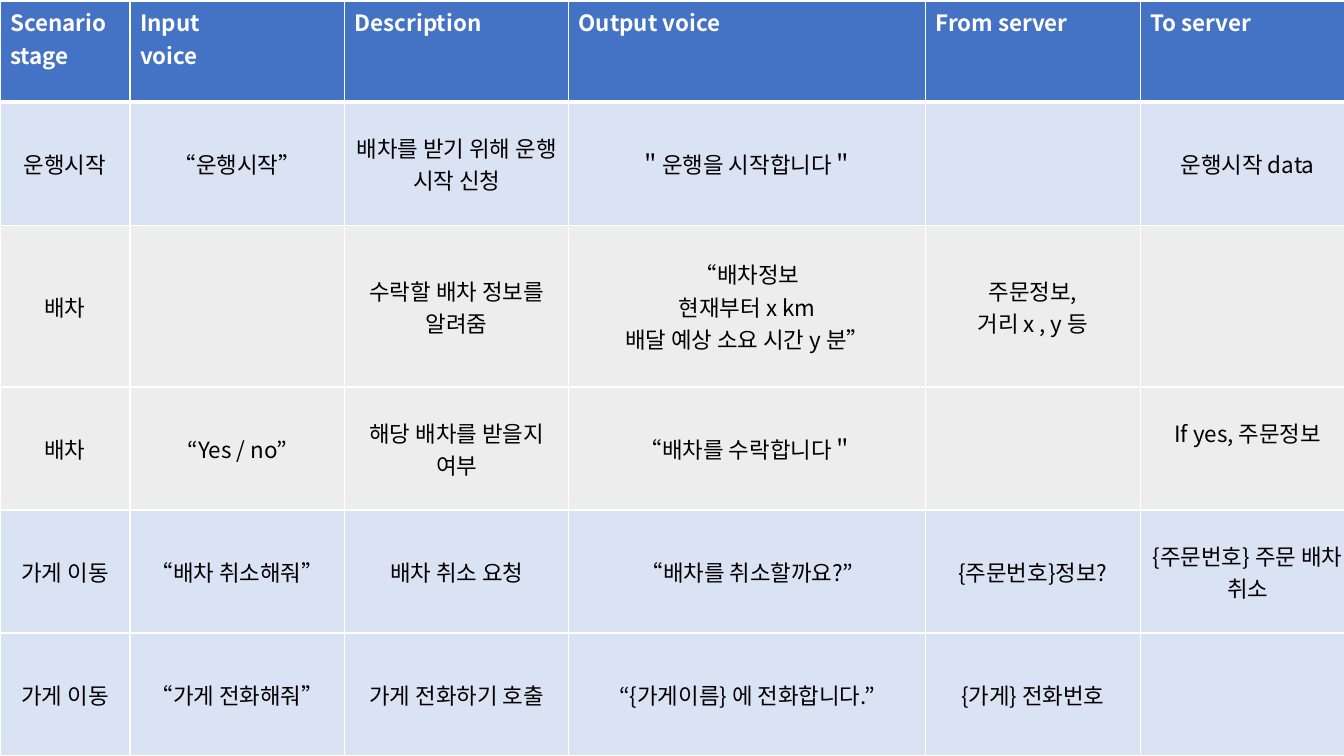
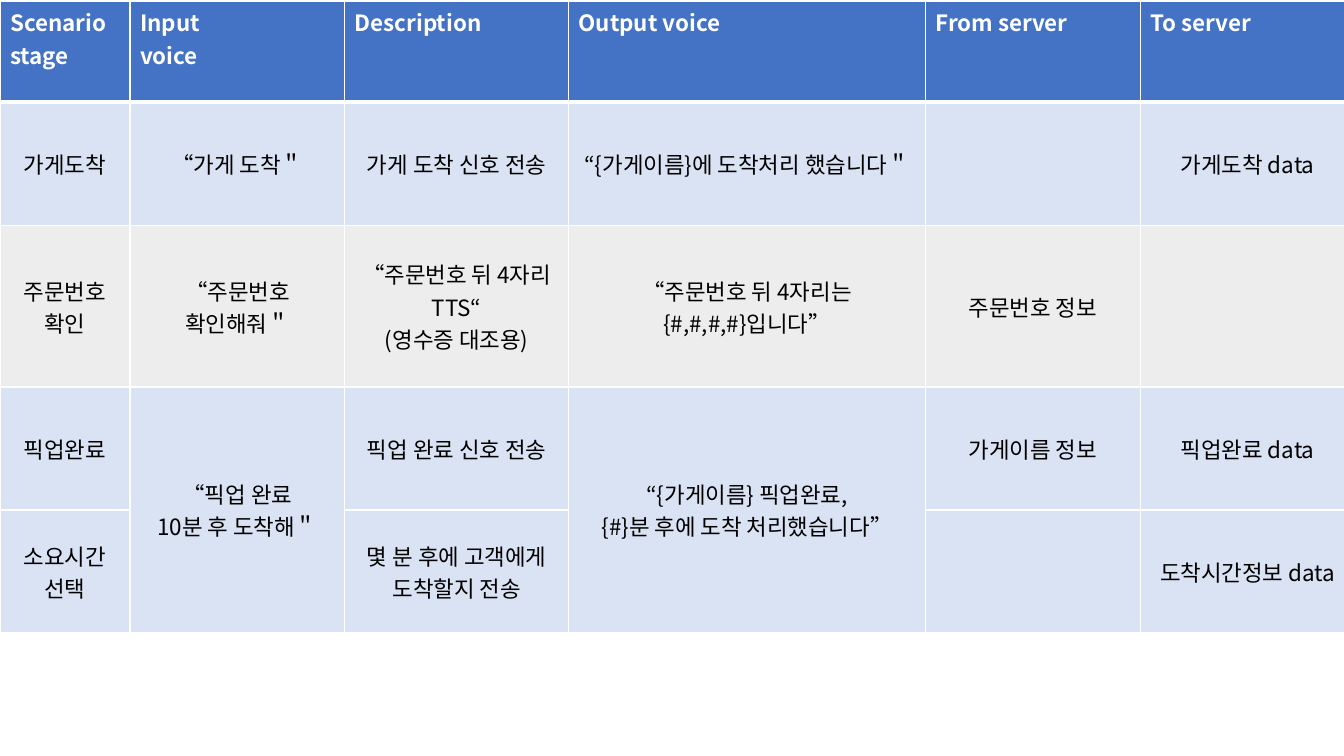
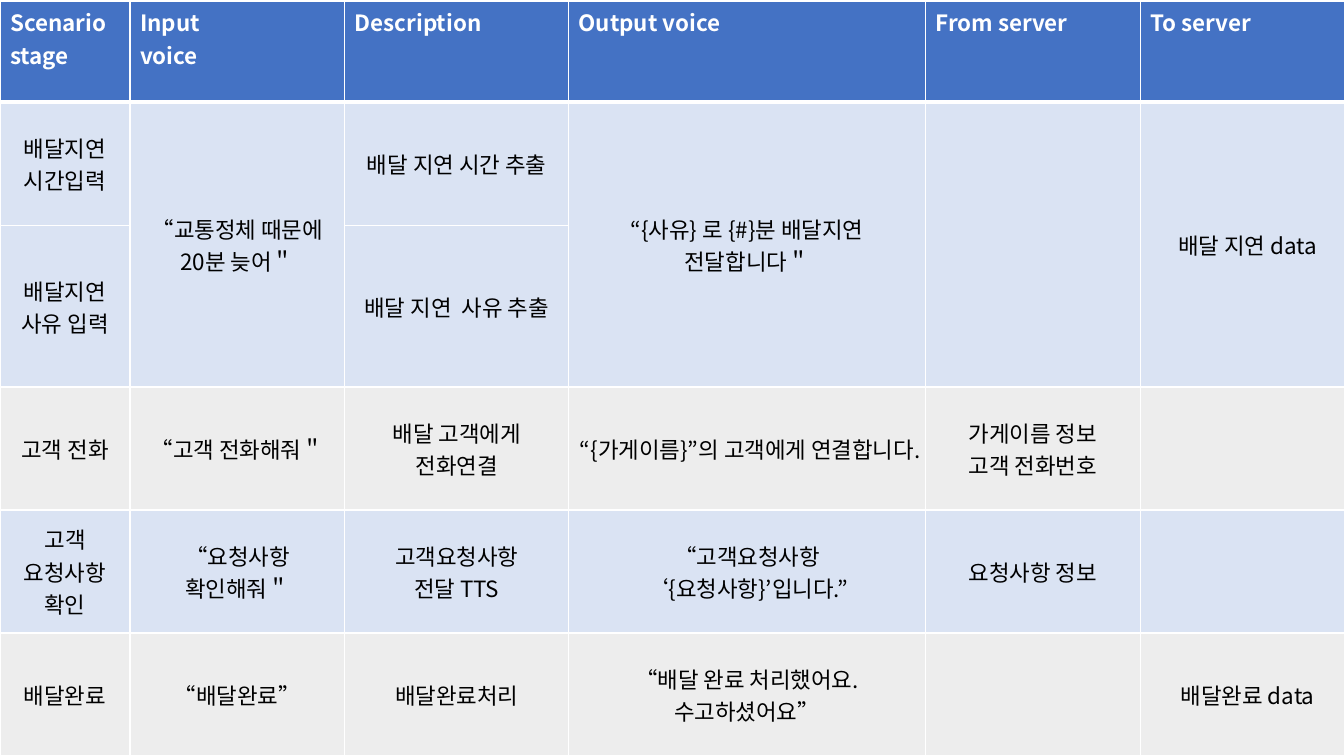
import dataclasses

import lxml.etree
import pptx
import pptx.dml.color
import pptx.enum.text
import pptx.oxml.ns
import pptx.util

PX = 9144  # EMU in one px, 100 px to the inch


@dataclasses.dataclass(frozen=True)
class Theme:
    font: str = "Noto Sans CJK KR"
    size: int = 16
    header: str = "4472C4"
    header_text: str = "FFFFFF"
    text: str = "000000"
    blue: str = "DAE3F3"
    grey: str = "EDEDED"
    white: str = "FFFFFF"
    rule: str = "FFFFFF"
    thin: int = 1
    thick: int = 3


THEME = Theme()
BLUE, GREY, WHITE = THEME.blue, THEME.grey, THEME.white

# Layout and header shared by every scenario table
COLUMN_WIDTHS = [129, 213, 222, 354, 213, 213]
ROW_HEIGHTS = [100, 123, 160, 122, 122, 122]
HEADER = ["Scenario stage", "Input\nvoice", "Description",
          "Output voice", "From server", "To server"]
ABOVE = "^"  # the cell joins the one above it

# Each stage: row colour, then one text per column
DISPATCH = [
    (BLUE, ["운행시작", "“운행시작”", "배차를 받기 위해 운행 시작 신청",
            "＂운행을 시작합니다＂", "", "운행시작 data"]),
    (GREY, ["배차", "", "수락할 배차 정보를 알려줌",
            "“배차정보\n현재부터 x km\n배달 예상 소요 시간 y 분”",
            "주문정보,\n거리 x , y 등", ""]),
    (GREY, ["배차", "“Yes / no”", "해당 배차를 받을지 여부",
            "“배차를 수락합니다＂", "", "If yes, 주문정보"]),
    (BLUE, ["가게 이동", "“배차 취소해줘”", "배차 취소 요청",
            "“배차를 취소할까요?”", "{주문번호}정보?", "{주문번호} 주문 배차 취소"]),
    (BLUE, ["가게 이동", "“가게 전화해줘”", "가게 전화하기 호출",
            "“{가게이름} 에 전화합니다.”", "{가게} 전화번호", ""]),
]
PICKUP = [
    (BLUE, ["가게도착", "“가게 도착＂", "가게 도착 신호 전송",
            "“{가게이름}에 도착처리 했습니다＂", "", "가게도착 data"]),
    (GREY, ["주문번호\n확인", "“주문번호\n확인해줘＂",
            "“주문번호 뒤 4자리 TTS“\n(영수증 대조용)",
            "“주문번호 뒤 4자리는\n{#,#,#,#}입니다”", "주문번호 정보", ""]),
    (BLUE, ["픽업완료", "“픽업 완료\n10분 후 도착해＂", "픽업 완료 신호 전송",
            "“{가게이름} 픽업완료,\n{#}분 후에 도착 처리했습니다”",
            "가게이름 정보", "픽업완료 data"]),
    (BLUE, ["소요시간\n선택", ABOVE, "몇 분 후에 고객에게 도착할지 전송",
            ABOVE, "", "도착시간정보 data"]),
    (WHITE, [""] * len(HEADER)),
]
DELIVERY = [
    (BLUE, ["배달지연\n시간입력", "“교통정체 때문에\n20분 늦어＂", "배달 지연 시간 추출",
            "“{사유} 로 {#}분 배달지연 전달합니다＂", "", "배달 지연 data"]),
    (BLUE, ["배달지연\n사유 입력", ABOVE, "배달 지연  사유 추출",
            ABOVE, ABOVE, ABOVE]),
    (GREY, ["고객 전화", "“고객 전화해줘＂", "배달 고객에게\n전화연결",
            "“{가게이름}”의 고객에게 연결합니다.",
            "가게이름 정보\n고객 전화번호", ""]),
    (BLUE, ["고객 요청사항 확인", "“요청사항\n확인해줘＂", "고객요청사항\n전달 TTS",
            "“고객요청사항 ‘{요청사항}’입니다.”", "요청사항 정보", ""]),
    (GREY, ["배달완료", "“배달완료”", "배달완료처리",
            "“배달 완료 처리했어요.\n수고하셨어요”", "", "배달완료 data"]),
]


class Deck:
    def __init__(self, theme, width, height):
        self.theme = theme
        self.presentation = pptx.Presentation()
        self.presentation.slide_width = self.px(width)
        self.presentation.slide_height = self.px(height)
        self.slide = None

    @staticmethod
    def px(length):
        return pptx.util.Emu(length * PX)

    def add_slide(self):
        blank = self.presentation.slide_layouts[6]
        self.slide = self.presentation.slides.add_slide(blank)

    def set_borders(self, cell, top, bottom):
        properties = cell._tc.get_or_add_tcPr()
        thin = self.theme.thin
        sides = {"a:lnL": thin, "a:lnR": thin, "a:lnT": top, "a:lnB": bottom}
        for side, points in sides.items():
            line = lxml.etree.SubElement(properties, pptx.oxml.ns.qn(side),
                                         w=str(pptx.util.Pt(points)))
            fill = lxml.etree.SubElement(line, pptx.oxml.ns.qn("a:solidFill"))
            lxml.etree.SubElement(fill, pptx.oxml.ns.qn("a:srgbClr"),
                                  val=self.theme.rule)

    def set_text(self, cell, text, is_header):
        cell.text_frame.text = text
        if not is_header:
            cell.vertical_anchor = pptx.enum.text.MSO_ANCHOR.MIDDLE
        colour = self.theme.header_text if is_header else self.theme.text
        for paragraph in cell.text_frame.paragraphs:
            if not is_header:
                paragraph.alignment = pptx.enum.text.PP_ALIGN.CENTER
            for run in paragraph.runs:
                font = run.font
                font.size = pptx.util.Pt(self.theme.size)
                font.bold = is_header
                font.color.rgb = pptx.dml.color.RGBColor.from_string(colour)
                font.name = self.theme.font
                # Hangul takes the East Asian font
                lxml.etree.SubElement(run._r.get_or_add_rPr(),
                                      pptx.oxml.ns.qn("a:ea"),
                                      typeface=self.theme.font)

    def scenario_table(self, stages):
        rows = [(self.theme.header, HEADER)] + stages
        table = self.slide.shapes.add_table(
            len(rows), len(HEADER), 0, self.px(1),
            self.px(sum(COLUMN_WIDTHS)), self.px(sum(ROW_HEIGHTS))).table
        table.horz_banding = False
        for column, width in zip(table.columns, COLUMN_WIDTHS):
            column.width = self.px(width)
        for row, height in zip(table.rows, ROW_HEIGHTS):
            row.height = self.px(height)

        thin, thick = self.theme.thin, self.theme.thick
        for r, (colour, texts) in enumerate(rows):
            for c, text in enumerate(texts):
                cell = table.cell(r, c)
                self.set_borders(cell, top=thick if r == 1 else thin,
                                 bottom=thick if r == 0 else thin)
                cell.fill.solid()
                cell.fill.fore_color.rgb = pptx.dml.color.RGBColor.from_string(colour)
                if text == ABOVE:
                    table.cell(r - 1, c).merge(cell)
                elif text:
                    self.set_text(cell, text, is_header=r == 0)
        return table


def main():
    deck = Deck(THEME, 1333, 750)

    # Dispatch: the reply to the server sits half a line above the middle
    deck.add_slide()
    dispatch = deck.scenario_table(DISPATCH)
    dispatch.cell(3, 5).margin_bottom = deck.px(37)

    # Pickup and delivery
    for stages in (PICKUP, DELIVERY):
        deck.add_slide()
        deck.scenario_table(stages)

    deck.presentation.save("out.pptx")


if __name__ == "__main__":
    main()
